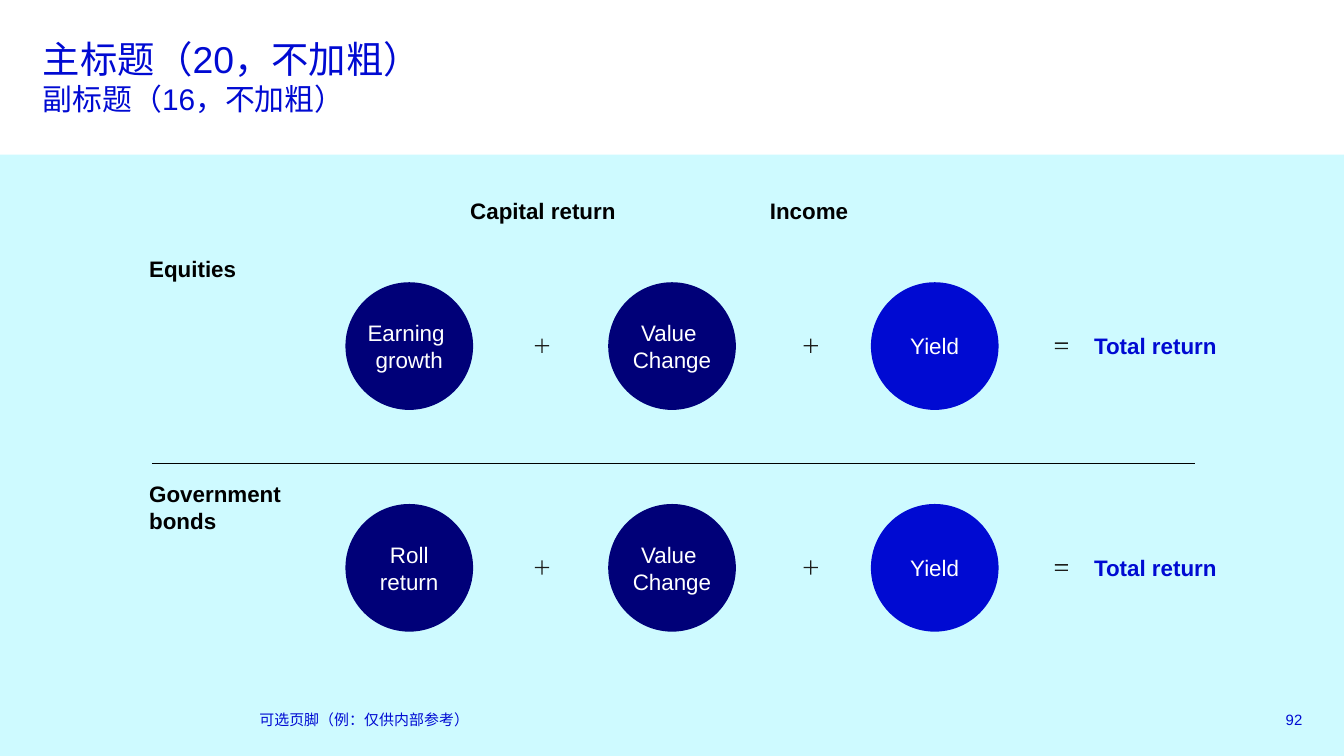
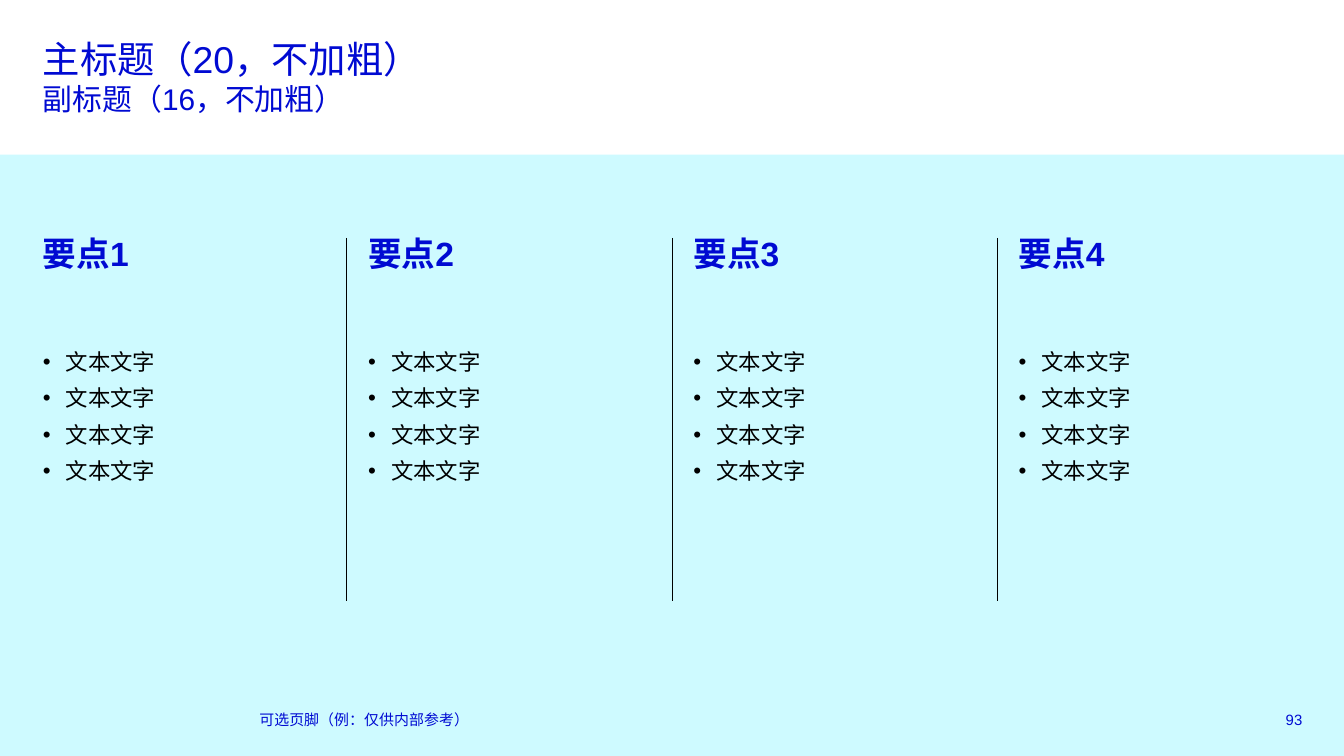
from dataclasses import dataclass

from lxml import etree
from pptx import Presentation
from pptx.dml.color import RGBColor
from pptx.enum.shapes import MSO_CONNECTOR, MSO_SHAPE
from pptx.enum.text import MSO_ANCHOR, PP_ALIGN
from pptx.oxml.ns import qn
from pptx.util import Inches, Pt

LEFT, CENTER, RIGHT = PP_ALIGN.LEFT, PP_ALIGN.CENTER, PP_ALIGN.RIGHT
TOP, MIDDLE = MSO_ANCHOR.TOP, MSO_ANCHOR.MIDDLE
RECTANGLE, OVAL = MSO_SHAPE.RECTANGLE, MSO_SHAPE.OVAL
STRAIGHT = MSO_CONNECTOR.STRAIGHT

FONT = "Arial"
BLUE, NAVY, AQUA = "000AD2", "000078", "5FF0FF"
BLACK, WHITE, INK = "000000", "FFFFFF", "1D1D1B"

COLUMNS, ROWS = 100, 56.25
CELL = Inches(0.1)
MARGIN = 3.2
CIRCLE = 9.5
TEXT_ROW = 2

PLUS = [[(0, 48), (48, 48), (48, 0), (58, 0), (58, 48), (106, 48),
         (106, 58), (58, 58), (58, 106), (48, 106), (48, 58), (0, 58)]]
EQUALS = [[(0, y), (96, y), (96, y + 10), (0, y + 10)] for y in (28, 68)]


@dataclass
class Box:
    """A region of the slide, in grid columns and rows."""
    left: float
    top: float
    width: float
    height: float

    def inner(self, left, top, width, height):
        """Return a box placed relative to this one."""
        return Box(self.left + left, self.top + top, width, height)

    def lengths(self):
        """Return the four lengths for python-pptx."""
        sides = (self.left, self.top, self.width, self.height)
        return [round(side * CELL) for side in sides]


def color(value):
    """Turn a hex string into a colour."""
    return RGBColor.from_string(value)


def write_span(para, text, size, tone, bold=False):
    """Add one run to a paragraph."""
    span = para.add_run()
    span.text = text
    span.font.name = FONT
    span.font.size = Pt(size)
    span.font.bold = bold
    span.font.color.rgb = color(tone)


def write_lines(frame, lines, size, tone, bold=False, align=LEFT, anchor=TOP):
    """Fill a text frame with one paragraph for each line."""
    frame.word_wrap = True
    frame.vertical_anchor = anchor
    frame.margin_left = frame.margin_right = 0
    frame.margin_top = frame.margin_bottom = 0
    for index, line in enumerate(lines):
        para = frame.add_paragraph() if index else frame.paragraphs[0]
        para.alignment = align
        write_span(para, line, size, tone, bold)


def add_text(page, box, lines, size, tone, **style):
    """Add a text box and return its frame."""
    frame = page.shapes.add_textbox(*box.lengths()).text_frame
    write_lines(frame, lines, size, tone, **style)
    return frame


def paint(shape, tone):
    """Give a shape a plain fill without line or shadow."""
    shape.shadow.inherit = False
    shape.fill.solid()
    shape.fill.fore_color.rgb = color(tone)
    shape.line.fill.background()


def add_rule(page, start, end):
    """Draw a thin black line between two grid points."""
    ends = [round(value * CELL) for value in (*start, *end)]
    rule = page.shapes.add_connector(STRAIGHT, *ends)
    rule.line.color.rgb = color(BLACK)
    rule.line.width = Pt(0.5)
    etree.SubElement(rule._element.spPr, qn("a:effectLst"))


def add_sign(page, box, outlines):
    """Draw a plus or equals sign, outlined in hundredths of a cell."""
    x, y = round(box.left * 100), round(box.top * 100)
    moved = [[(x + dx, y + dy) for dx, dy in outline] for outline in outlines]
    builder = page.shapes.build_freeform(*moved[0][0], scale=CELL / 100)
    for index, outline in enumerate(moved):
        if index:
            builder.move_to(*outline[0])
        builder.add_line_segments(outline[1:], close=True)
    paint(builder.convert_to_shape(), INK)


def add_bullet(para):
    """Give a paragraph a hanging bullet."""
    props = para._p.get_or_add_pPr()
    indent = Inches(0.17)
    props.set("marL", str(indent))
    props.set("indent", str(-indent))
    etree.SubElement(props, qn("a:buFont")).set("typeface", FONT)
    etree.SubElement(props, qn("a:buChar")).set("char", "•")


def add_page(deck, number):
    """Add a slide with the shared band, title and footer."""
    page = deck.slides.add_slide(deck.slide_layouts[6])
    slide = Box(0, 0, COLUMNS, ROWS)
    band = page.shapes.add_shape(RECTANGLE, *slide.inner(0, 11.5, COLUMNS, ROWS - 11.5).lengths())
    paint(band, AQUA)
    tone = band._element.spPr.find(".//" + qn("a:srgbClr"))
    etree.SubElement(tone, qn("a:alpha")).set("val", "30000")

    title = add_text(page, slide.inner(MARGIN, 2.7, 93.7, 4.1), ["主标题（20，不加粗）"], 20, BLUE)
    title.paragraphs[0].add_line_break()
    write_span(title.paragraphs[0], "副标题（16，不加粗）", 16, BLUE)

    add_text(page, slide.inner(19.3, 52.8, 64.6, 1.5), ["可选页脚（例：仅供内部参考）"],
             8, BLUE, anchor=MIDDLE)
    add_text(page, slide.inner(93, 52.8, 3.9, 1.5), [str(number)],
             8, BLUE, align=RIGHT, anchor=MIDDLE)
    return page


def add_equation(page, box, first_term):
    """Draw three circles that add up to the total return."""
    terms = [(first_term, NAVY), (["Value ", "Change"], NAVY), (["Yield"], BLUE)]
    for index, (lines, tone) in enumerate(terms):
        place = box.inner(index * 19.55, 0, CIRCLE, CIRCLE)
        circle = page.shapes.add_shape(OVAL, *place.lengths())
        paint(circle, tone)
        write_lines(circle.text_frame, lines, 12, WHITE, align=CENTER, anchor=MIDDLE)
    for index in range(2):
        add_sign(page, box.inner(14.1 + index * 20, 4.2, 1, 1), PLUS)
    add_sign(page, box.inner(52.8, 4.2, 1, 1), EQUALS)
    add_text(page, box.inner(55.7, 3.75, 12.2, TEXT_ROW), ["Total return"], 12, BLUE, bold=True)


def add_returns_page(deck, number):
    """Build the slide on the sources of return."""
    page = add_page(deck, number)
    body = Box(11.1, 14.7, 82.5, 32.3)
    for left, heading in ((23.2, "Capital return"), (43, "Income")):
        add_text(page, body.inner(left, 0, 12.2, TEXT_ROW), [heading],
                 12, BLACK, bold=True, align=CENTER)
    assets = [
        (4.3, ["Equities"], 6.3, ["Earning ", "growth"]),
        (21, ["Government", "bonds"], 22.8, ["Roll return"]),
    ]
    for label_top, label, top, first_term in assets:
        add_text(page, body.inner(0, label_top, 10.1, TEXT_ROW * len(label)), label,
                 12, BLACK, bold=True)
        add_equation(page, body.inner(14.6, top, 67.9, CIRCLE), first_term)
    add_rule(page, (11.3, 34.5), (88.9, 34.5))


def add_point(page, box, number):
    """Write one column with its heading and bullets."""
    add_text(page, box.inner(0, 0, box.width, 5.3), [f"要点{number}"], 18, BLUE, bold=True)
    bullets = add_text(page, box.inner(0, 8.6, box.width, 21.2), ["文本文字"] * 4, 12, BLACK)
    for index, para in enumerate(bullets.paragraphs):
        if index:
            para.space_before = Pt(5.1)
        add_bullet(para)


def add_points_page(deck, number):
    """Build the slide with four columns of points."""
    page = add_page(deck, number)
    pitch = 24.2
    for index in range(4):
        add_point(page, Box(MARGIN + index * pitch, 17.3, 21, 29.8), index + 1)
        if index:
            divider = 1.6 + index * pitch
            add_rule(page, (divider, 17.7), (divider, 44.7))


def main():
    """Build and save the deck."""
    deck = Presentation()
    deck.slide_width = round(COLUMNS * CELL)
    deck.slide_height = round(ROWS * CELL)
    add_returns_page(deck, 92)
    add_points_page(deck, 93)
    deck.save("out.pptx")


if __name__ == "__main__":
    main()
